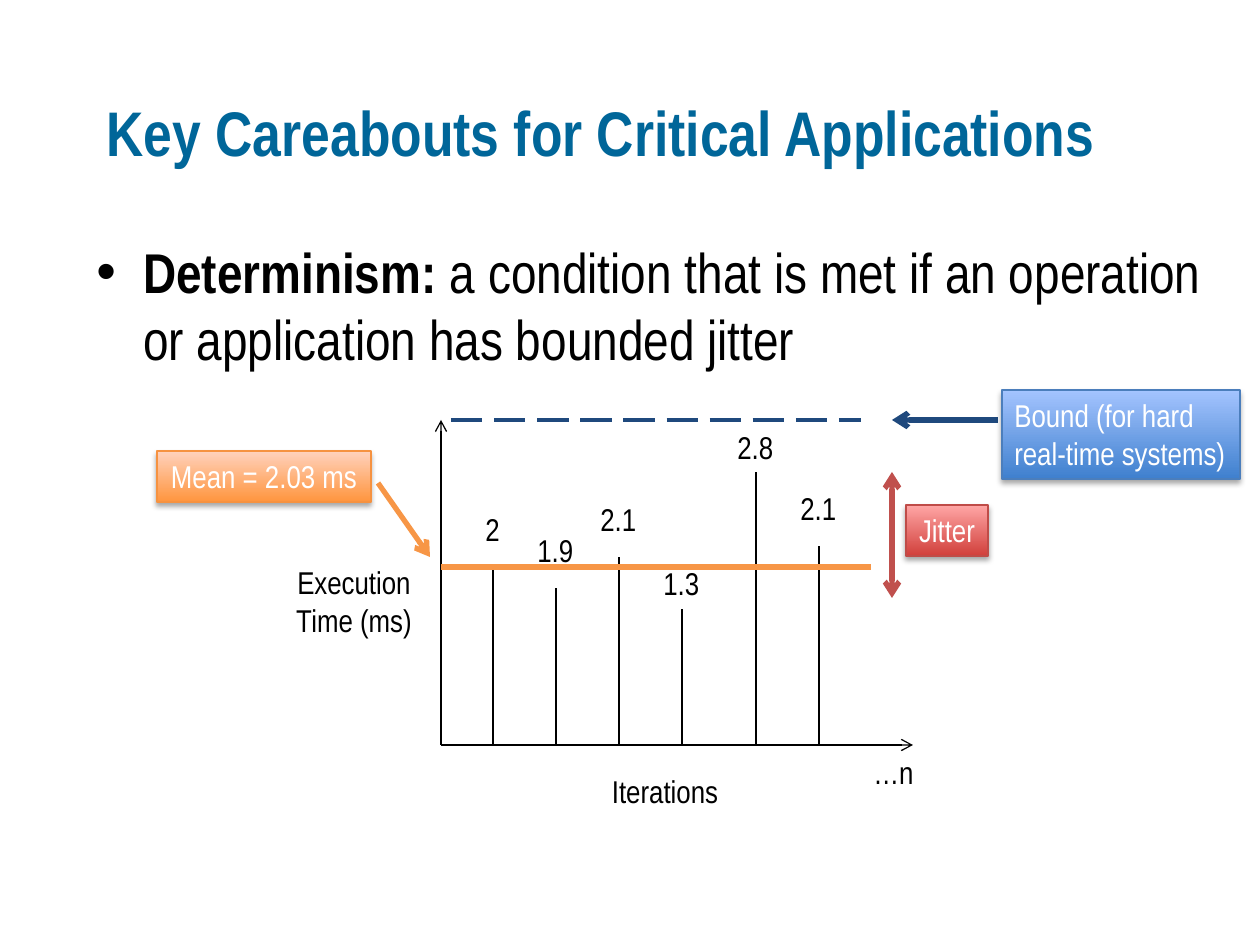
from lxml.etree import SubElement
from pptx import Presentation
from pptx.dml.color import RGBColor
from pptx.enum.dml import MSO_LINE_DASH_STYLE as Dash
from pptx.enum.shapes import MSO_CONNECTOR as Connector, MSO_SHAPE as Shape
from pptx.enum.text import MSO_ANCHOR as Anchor, MSO_AUTO_SIZE as AutoSize, PP_ALIGN as Align
from pptx.oxml.ns import qn
from pptx.util import Emu, Pt

BLACK = RGBColor(0x00, 0x00, 0x00)
WHITE = RGBColor(0xFF, 0xFF, 0xFF)
TITLE_BLUE = RGBColor(0x00, 0x66, 0x99)
BOUND_NAVY = RGBColor(0x1F, 0x49, 0x7D)
MEAN_ORANGE = RGBColor(0xF7, 0x96, 0x46)
JITTER_RED = RGBColor(0xC0, 0x50, 0x4D)
MEAN_BOX = (RGBColor(0xFF, 0x95, 0x3E), RGBColor(0xFF, 0xD2, 0xBD), RGBColor(0xF6, 0x92, 0x40))
JITTER_BOX = (RGBColor(0xD1, 0x40, 0x3C), RGBColor(0xFF, 0xA6, 0xA5), RGBColor(0xBF, 0x4C, 0x48))
BOUND_BOX = (RGBColor(0x3F, 0x80, 0xCE), RGBColor(0xA4, 0xC4, 0xFF), RGBColor(0x4B, 0x7E, 0xBC))

PX_PER_INCH = 126
BASELINE = 745
LABEL_HEIGHT = 51
ITERATIONS = [
    ("2", 493, 567, 504, 40),
    ("1.9", 556, 588, 525, 62),
    ("2.1", 619, 557, 494, 62),
    ("1.3", 682, 609, 558, 62),
    ("2.8", 756, 472, 422, 62),
    ("2.1", 819, 546, 483, 62),
]


def px(length):
    """Turn pixels into EMU."""
    return Emu(round(length * 914400 / PX_PER_INCH))


class SlideBuilder:
    """Hold the slide and its text style, and draw each kind of element."""

    font = "Arial Narrow"

    def __init__(self, slide):
        """Keep the slide to draw on."""
        self.slide = slide

    def style(self, run, size, color, bold=False):
        """Format one run of text."""
        formats = {"name": self.font, "size": Pt(size), "bold": bold}
        for attribute, value in formats.items():
            setattr(run.font, attribute, value)
        run.font.color.rgb = color

    def title(self, text, box):
        """Fill and place the title placeholder."""
        heading = self.slide.shapes.title
        for attribute, value in zip(("left", "top", "width", "height"), box):
            setattr(heading, attribute, px(value))
        frame = heading.text_frame
        frame.text = text
        frame.auto_size = AutoSize.NONE
        frame.vertical_anchor = Anchor.MIDDLE
        frame.paragraphs[0].alignment = Align.LEFT
        self.style(frame.paragraphs[0].runs[0], 36, TITLE_BLUE, True)

    def bullet(self, term, definition, box):
        """Add a bulleted definition with a bold term."""
        frame = self.slide.shapes.add_textbox(*map(px, box)).text_frame
        frame.word_wrap = True
        paragraph = frame.paragraphs[0]
        properties = paragraph._p.get_or_add_pPr()
        properties.set("marL", str(px(47)))
        properties.set("indent", str(px(-47)))
        SubElement(properties, qn("a:buFont"), typeface="Arial")
        SubElement(properties, qn("a:buChar"), char="•")
        for text, bold in ((term, True), (definition, False)):
            run = paragraph.add_run()
            run.text = text
            self.style(run, 32, BLACK, bold)

    def caption(self, shape, text, color, align):
        """Put unwrapped text into a shape that fits it."""
        frame = shape.text_frame
        formats = {"word_wrap": False, "auto_size": AutoSize.SHAPE_TO_FIT_TEXT,
                   "vertical_anchor": Anchor.TOP}
        for attribute, value in formats.items():
            setattr(frame, attribute, value)
        paragraph = frame.paragraphs[0]
        paragraph.text = text
        paragraph.alignment = align
        for run in paragraph.runs:
            self.style(run, 18, color)

    def label(self, text, box, align=Align.LEFT):
        """Add a plain label."""
        self.caption(self.slide.shapes.add_textbox(*map(px, box)), text, BLACK, align)

    def callout(self, text, box, colors, align=Align.CENTER):
        """Add a shaded rectangle with a soft shadow."""
        shape = self.slide.shapes.add_shape(Shape.RECTANGLE, *map(px, box))
        lower, upper, border = colors
        shape.fill.gradient()
        shape.fill.gradient_angle = 90
        for stop, color in zip(shape.fill.gradient_stops, (lower, upper)):
            stop.color.rgb = color
        shape.line.color.rgb = border
        shape.line.width = Pt(0.75)
        shape.shadow.inherit = False
        effects = shape._element.spPr.find(qn("a:effectLst"))
        shadow = SubElement(effects, qn("a:outerShdw"), blurRad=str(Pt(3.1)),
                            dist=str(Pt(1.8)), dir="5400000", rotWithShape="0")
        tone = SubElement(shadow, qn("a:srgbClr"), val=str(BLACK))
        SubElement(tone, qn("a:alpha"), val="35000")
        self.caption(shape, text, WHITE, align)

    def line(self, start, end, color=BLACK, width=0.75, dash=None, arrows=()):
        """Add a straight line with optional dashes and arrowheads."""
        connector = self.slide.shapes.add_connector(
            Connector.STRAIGHT, *map(px, (*start, *end)))
        connector.line.color.rgb = color
        connector.line.width = Pt(width)
        if dash:
            connector.line.dash_style = dash
        properties = connector._element.spPr
        for arrow in arrows:
            SubElement(properties.find(qn("a:ln")), qn(f"a:{arrow}"), type="arrow")
        SubElement(properties, qn("a:effectLst"))


def main():
    """Build and save the slide."""
    deck = Presentation()
    deck.slide_width, deck.slide_height = px(1260), px(945)
    builder = SlideBuilder(deck.slides.add_slide(deck.slide_layouts[5]))

    builder.title("Key Careabouts for Critical Applications", (94, 53, 1071, 157))
    builder.bullet("Determinism:",
                   " a condition that is met if an operation or application has bounded jitter",
                   (84, 231, 1134, 557))

    builder.line((441, 420), (441, BASELINE), arrows=["headEnd"])
    builder.line((441, BASELINE), (913, BASELINE), arrows=["tailEnd"])
    builder.label("Execution\nTime (ms)", (283, 557, 142, 89), Align.CENTER)
    builder.label("Iterations", (598, 766, 134, LABEL_HEIGHT), Align.CENTER)
    builder.label("…n", (861, 747, 66, LABEL_HEIGHT))

    for value, x, top, label_top, label_width in ITERATIONS:
        builder.line((x, BASELINE), (x, top))
        builder.label(value, (x - label_width // 2, label_top, label_width, LABEL_HEIGHT))

    builder.line((441, 567), (871, 567), MEAN_ORANGE, 3)
    builder.callout("Mean = 2.03 ms", (157, 451, 214, LABEL_HEIGHT), MEAN_BOX)
    builder.line((378, 483), (430, 557), MEAN_ORANGE, 3, arrows=["tailEnd"])

    builder.line((892, 472), (892, 598), JITTER_RED, 3, arrows=["headEnd", "tailEnd"])
    builder.callout("Jitter", (906, 505, 82, LABEL_HEIGHT), JITTER_BOX)

    builder.line((451, 420), (861, 420), BOUND_NAVY, 2.25, dash=Dash.LONG_DASH)
    builder.line((998, 420), (892, 420), BOUND_NAVY, 3, arrows=["tailEnd"])
    builder.callout("Bound (for hard\nreal-time systems)", (1002, 390, 238, 89),
                    BOUND_BOX, Align.LEFT)

    deck.save("out.pptx")


if __name__ == "__main__":
    main()
